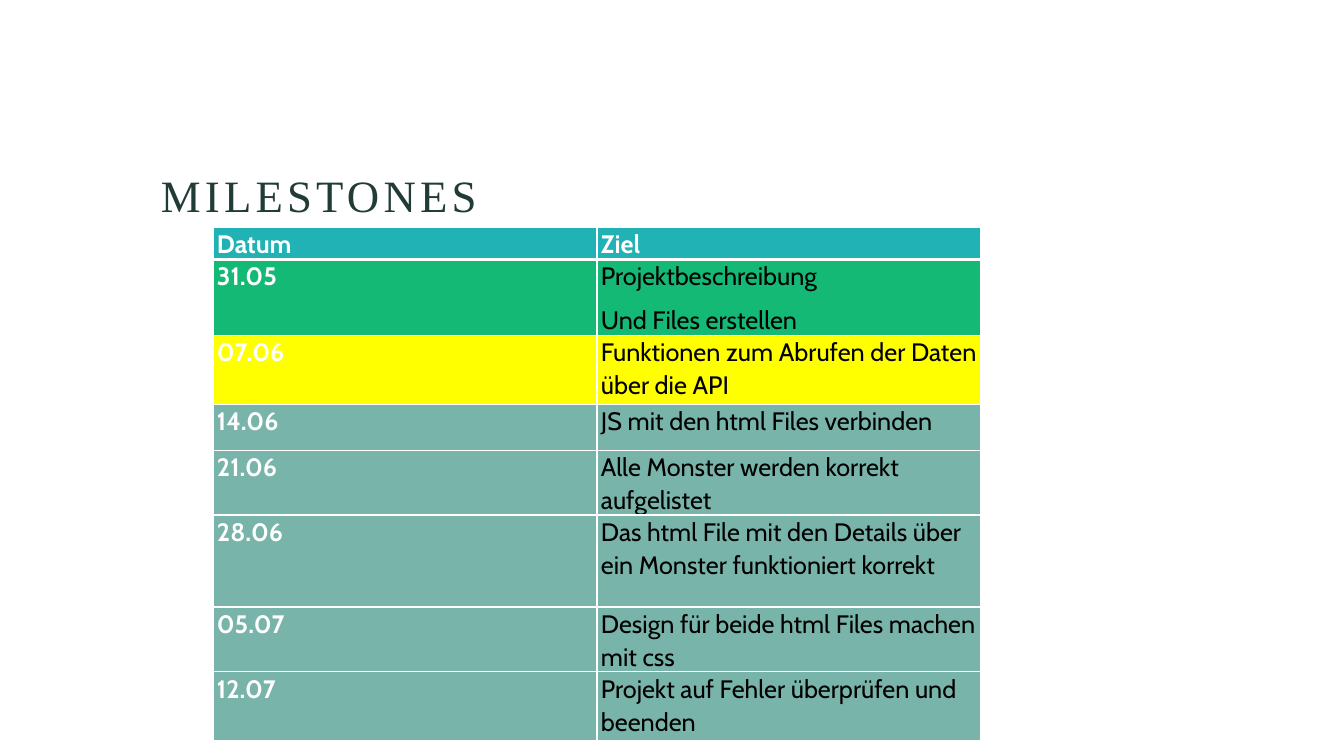
import pptx
import pptx.util
import pptx.dml.color
import pptx.enum.text
import pptx.oxml
import pptx.oxml.ns

SCALE = 914400 / 100.8
COLORS = {
    "title": "213B37",
    "head": "20B2B5",
    "done": "14B976",
    "doing": "FFFF00",
    "open": "79B4AB",
    "white": "FFFFFF",
    "black": "000000",
}
ROWS = [
    (22, "head", "Datum", "Ziel"),
    (57, "done", "31.05", "Projektbeschreibung\nUnd Files erstellen"),
    (69, "doing", "07.06", "Funktionen zum Abrufen der Daten über die API"),
    (46, "open", "14.06", "JS mit den html Files verbinden"),
    (46, "open", "21.06", "Alle Monster werden korrekt aufgelistet"),
    (92, "open", "28.06", "Das html File mit den Details über ein Monster funktioniert korrekt"),
    (46, "open", "05.07", "Design für beide html Files machen mit css"),
    (69, "open", "12.07", "Projekt auf Fehler überprüfen und beenden"),
]


def px(count):
    return pptx.util.Emu(round(count * SCALE))


def style(run, font, size, color, bold=False):
    run.font.name = font
    run.font.size = pptx.util.Pt(size)
    run.font.bold = bold
    run.font.color.rgb = pptx.dml.color.RGBColor.from_string(COLORS[color])


deck = pptx.Presentation()
deck.slide_width, deck.slide_height = px(1344), px(756)
slide = deck.slides.add_slide(deck.slide_layouts[6])

title = slide.shapes.add_textbox(px(151), px(76), px(1046), px(151))
frame = title.text_frame
frame.word_wrap = True
frame.vertical_anchor = pptx.enum.text.MSO_ANCHOR.BOTTOM
frame.text = "MILESTONES"
frame.paragraphs[0].line_spacing = 0.9
run = frame.paragraphs[0].runs[0]
style(run, "Times New Roman", 32, "title")
run.font._element.set("spc", "300")

total = sum(row[0] for row in ROWS)
table = slide.shapes.add_table(len(ROWS), 2, px(213), px(227), px(768), px(total)).table
for column in table.columns:
    column.width = px(384)

for r, (height, fill, *texts) in enumerate(ROWS):
    table.rows[r].height = px(height)
    for c, text in enumerate(texts):
        cell = table.cell(r, c)
        cell.margin_left = cell.margin_right = px(4)
        cell.margin_top = cell.margin_bottom = 0
        cell.fill.solid()
        cell.fill.fore_color.rgb = pptx.dml.color.RGBColor.from_string(COLORS[fill])
        cell.text_frame.text = text
        light = r == 0 or c == 0
        for para in cell.text_frame.paragraphs:
            para.line_spacing = 1.07
            para.space_after = pptx.util.Pt(8)
            style(para.runs[0], "Cabin", 18, "white" if light else "black", light)
        props = cell._tc.get_or_add_tcPr()
        for place, side in enumerate("LRTB"):
            thick = (r, side) in [(0, "B"), (1, "T")]
            width = pptx.util.Pt(3 if thick else 1)
            line = pptx.oxml.parse_xml(
                f'<a:ln{side} {pptx.oxml.ns.nsdecls("a")} w="{width}"><a:solidFill>'
                f'<a:srgbClr val="{COLORS["white"]}"/></a:solidFill></a:ln{side}>'
            )
            props.insert(place, line)

deck.save("out.pptx")
